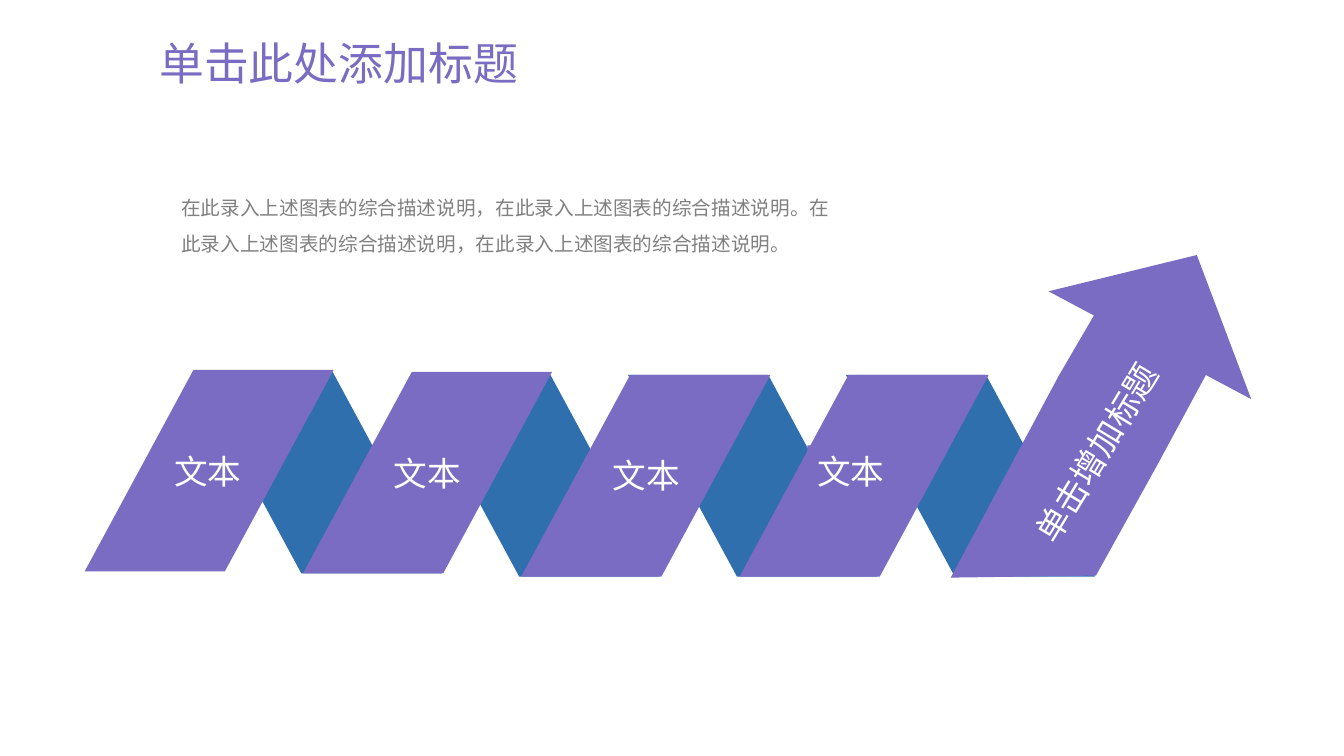
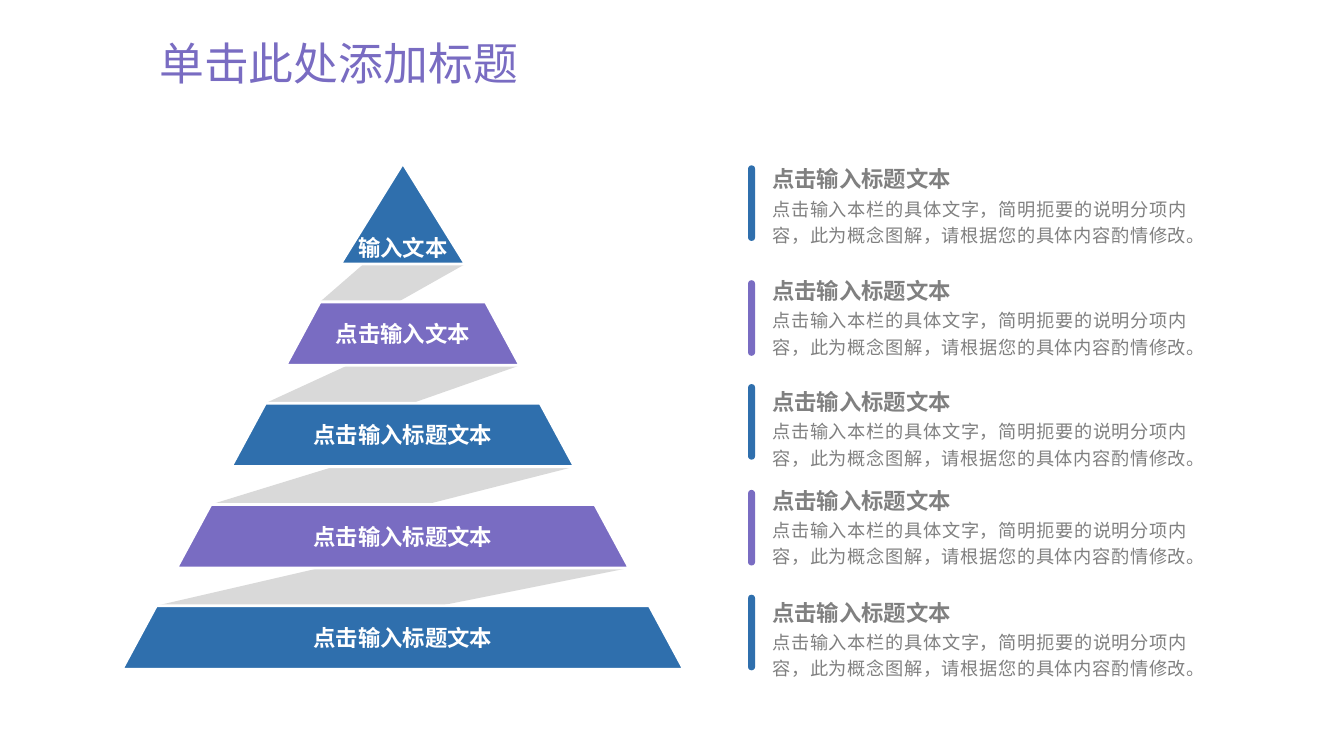
from dataclasses import dataclass
from itertools import cycle

from lxml.etree import SubElement
from pptx import Presentation
from pptx.dml.color import RGBColor as Color
from pptx.enum.shapes import MSO_SHAPE as Preset
from pptx.enum.text import MSO_ANCHOR as Anchor, MSO_AUTO_SIZE as AutoSize, PP_ALIGN as Align
from pptx.oxml.ns import qn
from pptx.util import Inches, Pt

CJK_FONT = "Noto Sans CJK SC"


@dataclass(frozen=True)
class TextStyle:
    size: int
    colour: str
    font: str = CJK_FONT
    bold: bool = False
    align: Align = Align.LEFT
    spacing: float = 1.0


class Theme:
    purple, blue, fold, white, grey = "796CC2", "2F6FAD", "D9D9D9", "FFFFFF", "808080"
    title = TextStyle(32, purple, "Montserrat", spacing=0.9)
    description = TextStyle(14, grey, "Arial", spacing=1.5)
    ribbon_label = TextStyle(24, white)
    tier_label = TextStyle(16, white, bold=True, align=Align.CENTER)
    note_heading = TextStyle(16, grey, bold=True)
    note_body = TextStyle(13, grey, align=Align.JUSTIFY, spacing=1.2)


@dataclass(frozen=True)
class Box:
    """A rectangle in inches; areas inside it are given as percentages of it."""
    left: float
    top: float
    width: float
    height: float

    def point(self, x, y):
        return (Inches(self.left + self.width * x / 100),
                Inches(self.top + self.height * y / 100))

    def area(self, x, y, width, height):
        return Box(self.left + self.width * x / 100, self.top + self.height * y / 100,
                   self.width * width / 100, self.height * height / 100)

    def place(self):
        return [Inches(length) for length in (self.left, self.top, self.width, self.height)]


SLIDE = Box(0, 0, 13.33, 7.5)
TITLE_TEXT = "单击此处添加标题"
DESCRIPTION = "在此录入上述图表的综合描述说明，在此录入上述图表的综合描述说明。" * 2
NOTE_HEADING = "点击输入标题文本"
NOTE_BODY = "点击输入本栏的具体文字，简明扼要的说明分项内容，此为概念图解，请根据您的具体内容酌情修改。"
TIER_LABELS = ["输入文本", "点击输入文本"] + [NOTE_HEADING] * 3


def write(shape, text, style, **frame_format):
    frame = shape.text_frame
    settings = {"word_wrap": True, "vertical_anchor": Anchor.TOP,
                "auto_size": AutoSize.NONE} | frame_format
    for name, value in settings.items():
        setattr(frame, name, value)
    paragraph = frame.paragraphs[0]
    paragraph.alignment, paragraph.line_spacing = style.align, style.spacing
    run = paragraph.add_run()
    run.text = text
    font_format = {"size": Pt(style.size), "name": style.font, "bold": style.bold}
    for name, value in font_format.items():
        setattr(run.font, name, value)
    run.font.color.rgb = Color.from_string(style.colour)
    SubElement(run.font._element, qn("a:ea"), typeface=CJK_FONT)


def paint(shape, fill, line=None):
    shape.shadow.inherit = False
    shape.fill.solid()
    shape.fill.fore_color.rgb = Color.from_string(fill)
    if line:
        shape.line.color.rgb = Color.from_string(line)
        shape.line.width = Pt(2)
    else:
        shape.line.fill.background()
    return shape


def add_preset(slide, preset, box, fill, adjustments=()):
    shape = paint(slide.shapes.add_shape(preset, *box.place()), fill)
    for index, value in enumerate(adjustments):
        shape.adjustments[index] = value
    return shape


def add_polygon(slide, box, points, fill, line=None):
    start, *others = [box.point(*point) for point in points]
    builder = slide.shapes.build_freeform(*start, scale=1.0)
    builder.add_line_segments(others, close=True)
    return paint(builder.convert_to_shape(), fill, line)


def add_text(slide, box, text, style, **frame_format):
    write(slide.shapes.add_textbox(*box.place()), text, style,
          auto_size=AutoSize.SHAPE_TO_FIT_TEXT, **frame_format)


def add_titled_slide(presentation):
    slide = presentation.slides.add_slide(presentation.slide_layouts[5])
    title = slide.shapes.title
    title.left, title.top, title.width, title.height = SLIDE.area(11.1, 4.8, 86.27, 7.87).place()
    write(title, TITLE_TEXT, Theme.title, vertical_anchor=Anchor.MIDDLE)
    return slide


def add_ribbon_label(slide, box, text, rotation=0):
    label = add_preset(slide, Preset.RECTANGLE, box, Theme.purple)
    label.rotation = rotation
    write(label, text, Theme.ribbon_label, word_wrap=False,
          auto_size=AutoSize.SHAPE_TO_FIT_TEXT)


def add_ribbon(slide, box):
    """Four leaning panels joined by darker folds behind them."""
    width, height, slant = 27.54, 97.56, [0.54]
    for index, top in enumerate((0.98, 2.44, 2.44, 2.44)):
        fold = add_preset(slide, Preset.PARALLELOGRAM,
                          box.area(11.93 + 24.08 * index, top, width, height),
                          Theme.blue, slant)
        fold.element.spPr.get_or_add_xfrm().set("flipH", "1")
    panels = [(0, 8.81, 36.59), (0.98, 8.92, 37.56), (2.44, 9.03, 38.54), (2.44, 7.5, 36.59)]
    for index, (top, label_inset, label_top) in enumerate(panels):
        left = 24.14 * index
        add_preset(slide, Preset.PARALLELOGRAM, box.area(left, top, width, height),
                   Theme.purple, slant)
        add_ribbon_label(slide, box.area(left + label_inset, label_top, 9.7, 24.39), "文本")


def add_rising_arrow(slide, box):
    outline = [(81.88, 0), (100, 44.69), (84.9, 37.19), (68.79, 65), (48.32, 99.38),
               (0, 100), (35.91, 37.5), (47.65, 18.75), (32.55, 11.25)]
    add_polygon(slide, box, outline, Theme.purple)
    add_ribbon_label(slide, box.area(11.41, 53.13, 74.5, 15.63), "单击增加标题", 301.1)


def add_pyramid(slide, box):
    """Tiers that widen by equal steps, with grey folds between them."""
    tiers = []
    for index in range(len(TIER_LABELS)):
        half, bottom = 11.12 + 9.72 * index, 19.92 + 20.02 * index
        top_half, top = (half - 6.1, bottom - 12.55) if index else (0, 0)
        tiers.append((top_half, top, half, bottom))

    for index, (upper, lower) in enumerate(zip(tiers, tiers[1:])):
        inset, rise = (6.1, 12.55) if index else (6.34, 11.35)
        _, _, half, bottom = upper
        low_top_half, low_top, low_half, low_bottom = lower
        add_polygon(slide, box, [(50 + half - inset, bottom - rise), (50 - low_top_half, low_top),
                                 (50 - low_half, low_bottom), (50 + half, bottom)], Theme.fold)

    for tier, text, colour in zip(tiers, TIER_LABELS, cycle((Theme.blue, Theme.purple))):
        top_half, top, half, bottom = tier
        corners = [(50 - top_half, top), (50 + top_half, top),
                   (50 + half, bottom), (50 - half, bottom)]
        shape = add_polygon(slide, box, corners, colour, Theme.white)
        is_apex = top_half == 0
        write(shape, text, Theme.tier_label, margin_left=0, margin_right=0, margin_top=0,
              margin_bottom=Inches(0.03 if is_apex else 0),
              vertical_anchor=Anchor.BOTTOM if is_apex else Anchor.MIDDLE)


def add_notes_column(slide, box):
    margins = {"margin_left": Inches(0.04), "margin_right": Inches(0.04),
               "margin_top": Inches(0.02), "margin_bottom": Inches(0.02)}
    bar_tops = (0.39, 22.57, 42.61, 63.04, 83.27)
    text_tops = (0, 21.6, 43, 62.06, 83.66)
    for bar_top, text_top, colour in zip(bar_tops, text_tops, cycle((Theme.blue, Theme.purple))):
        add_preset(slide, Preset.ROUND_2_SAME_RECTANGLE, box.area(0, bar_top, 1.59, 14.59),
                   colour, (0.5, 0.5))
        add_text(slide, box.area(4.56, text_top + 5.45, 95.44, 10.89), NOTE_BODY,
                 Theme.note_body, **margins)
        add_text(slide, box.area(4.56, text_top, 42.6, 6.03), NOTE_HEADING,
                 Theme.note_heading, word_wrap=False, **margins)


def add_ribbon_slide(presentation):
    slide = add_titled_slide(presentation)
    add_ribbon(slide, SLIDE.area(6.3, 48.93, 67.29, 27.33))
    add_rising_arrow(slide, SLIDE.area(70.74, 33.73, 22.36, 42.67))
    add_text(slide, SLIDE.area(12.75, 23.73, 49.81, 10.8), DESCRIPTION, Theme.description)


def add_pyramid_slide(presentation):
    slide = add_titled_slide(presentation)
    add_pyramid(slide, SLIDE.area(9.08, 21.6, 41.79, 66.93))
    add_notes_column(slide, SLIDE.area(55.66, 21.6, 32.93, 68.53))


def main():
    presentation = Presentation()
    presentation.slide_width, presentation.slide_height = Inches(SLIDE.width), Inches(SLIDE.height)
    add_ribbon_slide(presentation)
    add_pyramid_slide(presentation)
    presentation.save("out.pptx")


if __name__ == "__main__":
    main()
